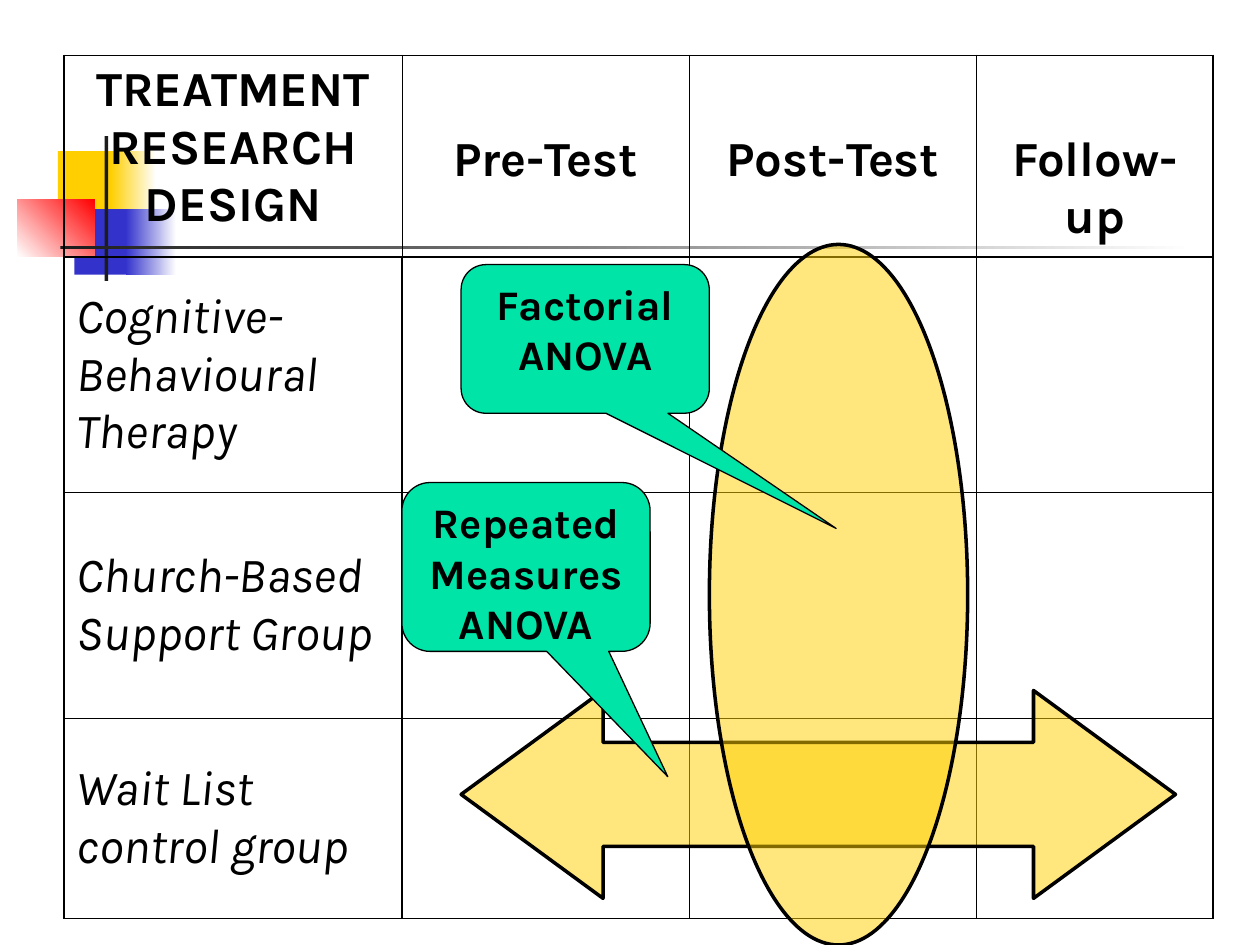
"""Build a treatment research design slide with a table and ANOVA callouts."""
from dataclasses import dataclass

from lxml.etree import SubElement
from pptx import Presentation
from pptx.dml.color import RGBColor
from pptx.enum.shapes import MSO_SHAPE
from pptx.enum.text import MSO_ANCHOR, PP_ALIGN
from pptx.oxml import parse_xml
from pptx.oxml.ns import nsdecls, qn
from pptx.util import Inches, Pt


@dataclass
class Theme:
    font: str = "Karla"
    black: str = "000000"
    white: str = "FFFFFF"
    gold: str = "FFCF01"
    blue: str = "3333CC"
    red: str = "FF0000"
    charcoal: str = "1C1C1C"
    green: str = "00E4A8"
    table_size: int = 28
    callout_size: int = 24
    hairline: float = 0.45
    frame: float = 1.08
    heavy: float = 1.47


theme = Theme()


def write_text(frame, text, size, bold=False, italic=False, align=PP_ALIGN.LEFT):
    para = frame.paragraphs[0]
    para.alignment = align
    span = para.add_run()
    span.text = text
    span.font.name = theme.font
    span.font.size = Pt(size)
    span.font.bold = bold
    span.font.italic = italic
    span.font.color.rgb = RGBColor.from_string(theme.black)


def add_shape(kind, bounds, colors, angle=0, line=None, alpha=None, adjust=()):
    shape = page.shapes.add_shape(kind, *map(Inches, bounds))
    shape.shadow.inherit = False
    for index, value in enumerate(adjust):
        shape.adjustments[index] = value
    if len(colors) == 1:
        shape.fill.solid()
        shape.fill.fore_color.rgb = RGBColor.from_string(colors[0])
    else:
        shape.fill.gradient()
        shape.fill.gradient_angle = angle
        for stop, color in zip(shape.fill.gradient_stops, colors):
            stop.color.rgb = RGBColor.from_string(color)
    if alpha:
        tint = shape.fill._xPr.find(".//" + qn("a:srgbClr"))
        SubElement(tint, qn("a:alpha")).set("val", str(alpha * 1000))
    if line:
        shape.line.color.rgb = RGBColor.from_string(theme.black)
        shape.line.width = Pt(line)
    else:
        shape.line.fill.background()
    return shape


deck = Presentation()
deck.slide_width, deck.slide_height = Inches(10), Inches(7.5)
page = deck.slides.add_slide(deck.slide_layouts[6])

ornaments = [
    ((0.46, 1.2, 0.48, 0.52), [theme.gold], 0),
    ((0.88, 1.2, 0.36, 0.52), [theme.gold, theme.white], 0),
    ((0.59, 1.66, 0.46, 0.52), [theme.blue], 0),
    ((1, 1.66, 0.4, 0.52), [theme.blue, theme.white], 0),
    ((0.14, 1.58, 0.61, 0.46), [theme.white, theme.red], 45),
    ((0.83, 1.08, 0.03, 1.15), [theme.charcoal], 0),
    ((0.48, 1.95, 9, 0.03), [theme.charcoal, theme.white], 0),
]
for bounds, colors, angle in ornaments:
    add_shape(MSO_SHAPE.RECTANGLE, bounds, colors, angle=angle)

headers = ["TREATMENT RESEARCH DESIGN", "Pre-Test", "Post-Test", "Follow-up"]
groups = ["Cognitive-Behavioural Therapy", "Church-Based Support Group", "Wait List control group"]
widths = [2.68, 2.28, 2.28, 1.88]
heights = [1.6, 1.87, 1.79, 1.59]
grid = page.shapes.add_table(
    len(heights), len(widths), Inches(0.51), Inches(0.44), Inches(sum(widths)), Inches(sum(heights))
).table
grid.horz_banding = False
for column, width in zip(grid.columns, widths):
    column.width = Inches(width)
for row, height in zip(grid.rows, heights):
    row.height = Inches(height)

row_rules = [theme.frame, theme.heavy, theme.hairline, theme.hairline, theme.frame]
header_rules = [theme.frame, theme.hairline, theme.hairline, theme.hairline, theme.frame]
group_rules = [theme.frame, theme.heavy, theme.hairline, theme.hairline, theme.frame]
for r in range(len(heights)):
    column_rules = group_rules if r else header_rules
    for c in range(len(widths)):
        cell = grid.cell(r, c)
        cell.fill.background()
        if r == 0:
            cell.margin_top = Inches(0.6 if c else 0.05)
            write_text(cell.text_frame, headers[c], theme.table_size, bold=True, align=PP_ALIGN.CENTER)
        elif c == 0:
            cell.vertical_anchor = MSO_ANCHOR.MIDDLE
            write_text(cell.text_frame, groups[r - 1], theme.table_size, italic=True)
        sides = {"L": column_rules[c], "R": column_rules[c + 1], "T": row_rules[r], "B": row_rules[r + 1]}
        properties = cell._tc.get_or_add_tcPr()
        for index, (side, weight) in enumerate(sides.items()):
            border = parse_xml(
                f'<a:ln{side} {nsdecls("a")} w="{Pt(weight)}"><a:solidFill>'
                f'<a:srgbClr val="{theme.black}"/></a:solidFill></a:ln{side}>'
            )
            properties.insert(index, border)

add_shape(MSO_SHAPE.LEFT_RIGHT_ARROW, (3.66, 5.48, 5.67, 1.65), [theme.gold],
          line=2, alpha=51, adjust=(0.5, 0.683))
add_shape(MSO_SHAPE.OVAL, (5.63, 1.94, 2.05, 5.56), [theme.gold], line=2, alpha=51)

callouts = [
    ("Factorial ANOVA", (3.66, 2.1, 1.97, 1.18), (1.011, 1.275, 0.167)),
    ("Repeated Measures ANOVA", (3.19, 3.83, 1.97, 1.34), (0.571, 1.242, 0.167)),
]
for label, bounds, adjust in callouts:
    callout = add_shape(MSO_SHAPE.ROUNDED_RECTANGULAR_CALLOUT, bounds, [theme.green],
                        line=0.75, adjust=adjust)
    callout.text_frame.word_wrap = True
    callout.text_frame.vertical_anchor = MSO_ANCHOR.TOP
    write_text(callout.text_frame, label, theme.callout_size, bold=True, align=PP_ALIGN.CENTER)

deck.save("out.pptx")
